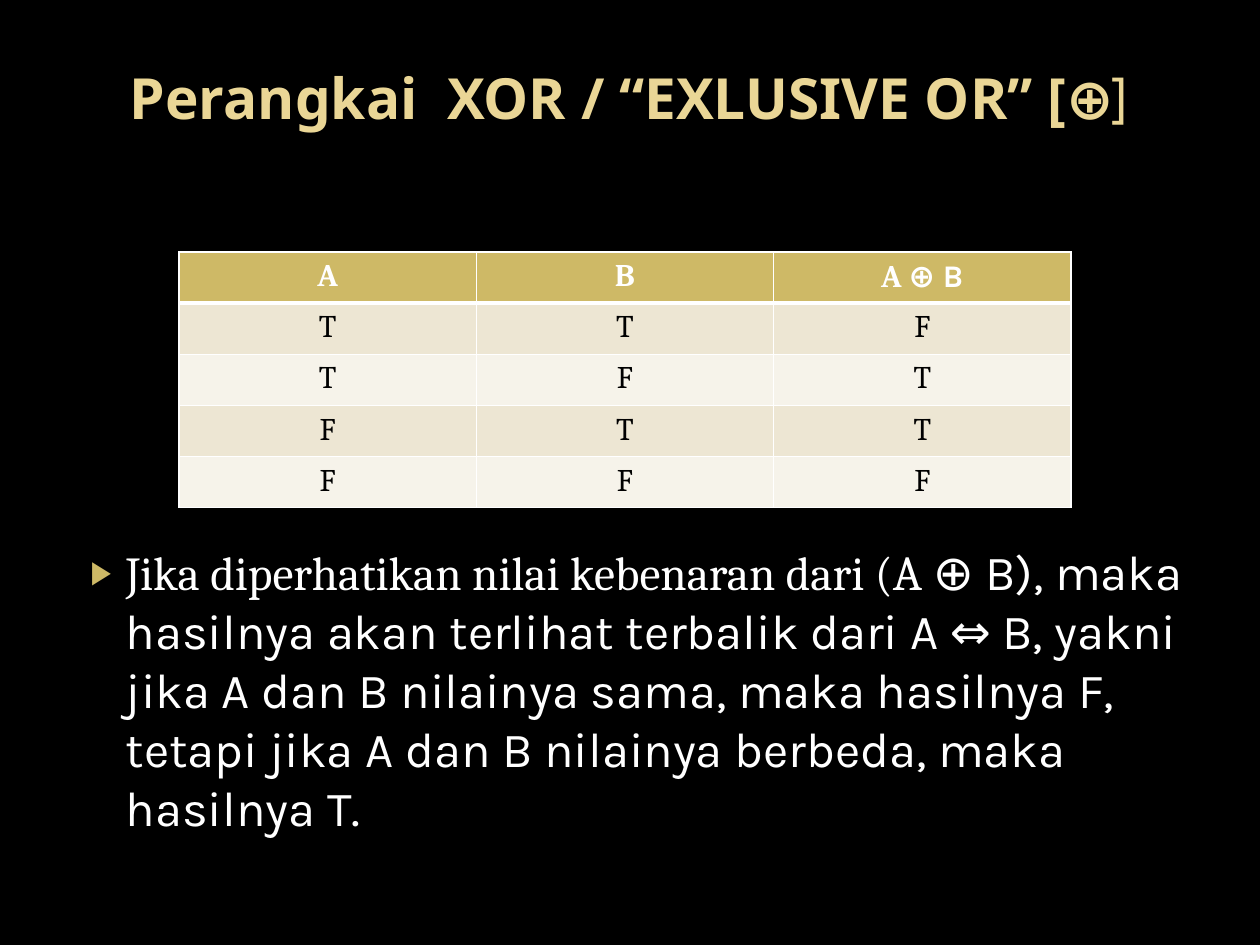
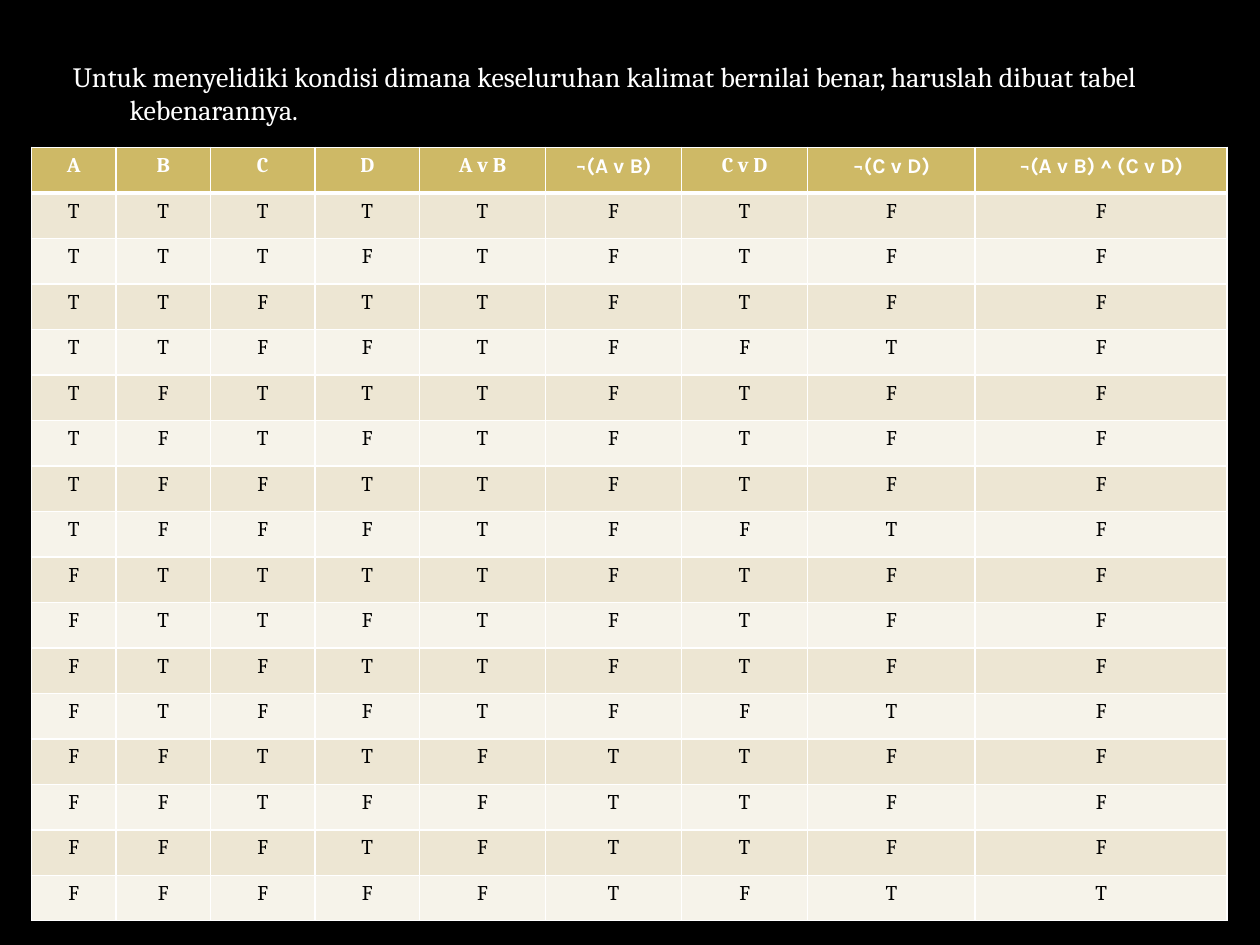
import itertools

import pptx
import pptx.dml.color
import pptx.enum.text
import pptx.oxml
import pptx.oxml.ns
import pptx.util
from pptx.util import Inches

COLORS = {
    "background": "000000",
    "title": "EAD696",
    "text": "FFFFFF",
    "accent": "CEB966",
    "cell_text": "000000",
    "odd_row": "EDE6D3",
    "even_row": "F6F3EA",
    "border": "FFFFFF",
}
SERIF, SANS, TITLE_FONT = "Cambria", "Karla", "Noto Sans"
CENTER = pptx.enum.text.PP_ALIGN.CENTER
FRAME_FORMAT = {
    "word_wrap": True,
    "auto_size": pptx.enum.text.MSO_AUTO_SIZE.NONE,
    "vertical_anchor": pptx.enum.text.MSO_ANCHOR.TOP,
}


def rgb(name):
    return pptx.dml.color.RGBColor.from_string(COLORS[name])


def apply_format(target, values):
    for attribute, value in values.items():
        setattr(target, attribute, value)


def add_runs(paragraph, runs, color):
    for text, font, size, bold in runs:
        run = paragraph.add_run()
        run.text = text
        apply_format(run.font, {"name": font, "size": pptx.util.Pt(size), "bold": bold})
        run.font.color.rgb = rgb(color)


def set_hanging_indent(paragraph, left, hang):
    properties = paragraph._p.get_or_add_pPr()
    properties.set("marL", str(Inches(left)))
    properties.set("indent", str(-Inches(hang)))
    return properties


def add_bullet(properties, symbol, percent):
    namespace = pptx.oxml.ns.nsdecls("a")
    for markup in (
        f'<a:buClr {namespace}><a:srgbClr val="{COLORS["accent"]}"/></a:buClr>',
        f'<a:buSzPct {namespace} val="{percent * 1000}"/>',
        f'<a:buFont {namespace} typeface="{TITLE_FONT}"/>',
        f'<a:buChar {namespace} char="{symbol}"/>',
    ):
        properties.append(pptx.oxml.parse_xml(markup))


def place_title(slide, box, runs):
    title = slide.shapes.title
    apply_format(title, dict(zip(("left", "top", "width", "height"), map(Inches, box))))
    apply_format(title.text_frame, {**FRAME_FORMAT, "margin_top": 0})
    paragraph = title.text_frame.paragraphs[0]
    paragraph.alignment = CENTER
    add_runs(paragraph, runs, "title")


def add_note(slide, box, runs, left, hang, space_before, bullet=None):
    frame = slide.shapes.add_textbox(*map(Inches, box)).text_frame
    apply_format(frame, FRAME_FORMAT)
    paragraph = frame.paragraphs[0]
    paragraph.space_before = pptx.util.Pt(space_before)
    properties = set_hanging_indent(paragraph, left, hang)
    if bullet:
        add_bullet(properties, *bullet)
    add_runs(paragraph, runs, "text")


def set_borders(cell, widths):
    properties = cell._tc.get_or_add_tcPr()
    for side, width in widths.items():
        properties.append(pptx.oxml.parse_xml(
            f'<a:ln{side} {pptx.oxml.ns.nsdecls("a")} w="{pptx.util.Pt(width)}">'
            f'<a:solidFill><a:srgbClr val="{COLORS["border"]}"/></a:solidFill></a:ln{side}>'
        ))


def fill_cell(cell, runs, row, size):
    header = row == 0
    set_borders(cell, {"L": 1, "R": 1, "T": 3 if row == 1 else 1, "B": 3 if header else 1})
    cell.fill.solid()
    cell.fill.fore_color.rgb = rgb("accent" if header else "odd_row" if row % 2 else "even_row")
    paragraph = cell.text_frame.paragraphs[0]
    paragraph.alignment = CENTER
    add_runs(paragraph, [(text, font, size, header) for text, font in runs],
             "text" if header else "cell_text")


def add_truth_table(slide, left, top, column_widths, row_height, headings, truths, size):
    rows = [headings] + [[[("T" if value else "F", SERIF)] for value in line] for line in truths]
    table = slide.shapes.add_table(
        len(rows), len(headings), Inches(left), Inches(top),
        Inches(sum(column_widths)), Inches(row_height * len(rows)),
    ).table
    for column, width in zip(table.columns, column_widths):
        column.width = Inches(width)
    for number, line in enumerate(rows):
        table.rows[number].height = Inches(row_height)
        for column, runs in enumerate(line):
            fill_cell(table.cell(number, column), runs, number, size)


def build_xor_slide(deck):
    slide = deck.slides.add_slide(deck.slide_layouts[5])
    place_title(slide, (0.5, 0.5, 9, 1.17), [
        ("Perangkai  XOR / “EXLUSIVE OR” [", TITLE_FONT, 32.4, True),
        ("⊕", SANS, 32.4, True),
        ("]", SANS, 32.4, False),
    ])
    headings = [[("A", SERIF)], [("B", SERIF)], [("A ", SERIF), ("⊕ B", SANS)]]
    truths = [(a, b, a != b) for a, b in itertools.product((True, False), repeat=2)]
    add_truth_table(slide, 1.42, 2, [2.36] * 3, 0.406, headings, truths, 18)
    add_note(slide, (0.5, 4.25, 9, 2.32), [
        ("Jika diperhatikan nilai kebenaran dari (", SERIF, 27, False),
        ("A ", SERIF, 28, False),
        ("⊕ B), maka hasilnya akan terlihat terbalik dari A ⇔ B, yakni jika A dan B "
         "nilainya sama, maka hasilnya F, tetapi jika A dan B nilainya berbeda, maka "
         "hasilnya T.", SANS, 28, False),
    ], 0.4, 0.28, 4, ("▶", 68))


def build_sentence_slide(deck):
    slide = deck.slides.add_slide(deck.slide_layouts[6])
    add_note(slide, (0.33, 0.42, 9.17, 0.67), [
        ("Untuk menyelidiki kondisi dimana keseluruhan kalimat bernilai benar, haruslah "
         "dibuat tabel kebenarannya.", SERIF, 16, False),
    ], 0.6, 0.45, 3)
    labels = ["A", "B", "C", "D", "A v B", "¬(A v B)", "C v D", "¬(C v D)", "¬(A v B) ^ (C v D)"]
    headings = [[(label, SANS if "¬" in label else SERIF)] for label in labels]
    truths = [
        (a, b, c, d, a or b, not (a or b), c or d, not (c or d), not (a or b or c or d))
        for a, b, c, d in itertools.product((True, False), repeat=4)
    ]
    widths = [0.67, 0.75, 0.83, 0.83, 1, 1.08, 1, 1.33, 2]
    add_truth_table(slide, 0.25, 1.17, widths, 6.14 / 17, headings, truths, 12)


def main():
    deck = pptx.Presentation()
    apply_format(deck, {"slide_width": Inches(10), "slide_height": Inches(7.5)})
    background = deck.slide_master.background.fill
    background.solid()
    background.fore_color.rgb = rgb("background")
    build_xor_slide(deck)
    build_sentence_slide(deck)
    deck.save("out.pptx")


if __name__ == "__main__":
    main()
